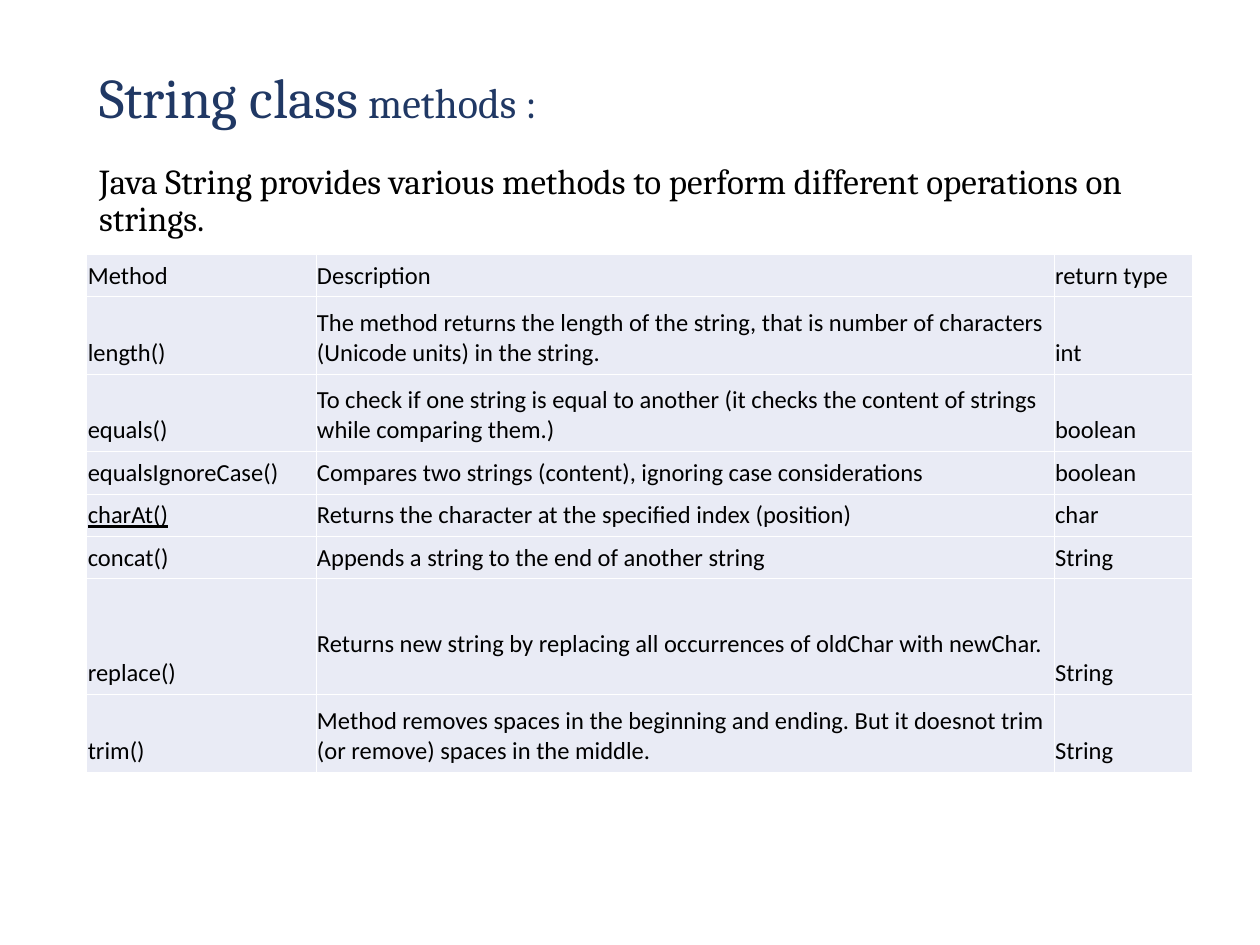
from lxml import etree
from pptx import Presentation
from pptx.dml.color import RGBColor
from pptx.enum.text import MSO_ANCHOR
from pptx.oxml.ns import qn
from pptx.util import Cm, Pt

MIDDLE, TOP, BOTTOM = MSO_ANCHOR.MIDDLE, MSO_ANCHOR.TOP, MSO_ANCHOR.BOTTOM
COLORS = {"title": "203864", "text": "000000", "cell": "E9EBF5", "border": "FFFFFF"}
HEADING_FONT, TABLE_FONT = "Cambria", "Calibri"
LEFT, TEXT_WIDTH = Cm(1.75), Cm(21.92)
COLUMN_WIDTHS = (4.62, 14.88, 2.79)
LINE_HEIGHT = 0.78
INSET_SIDE, INSET_END, SPARE_LINE = 0.02, 0.13, 0.6
UNDERLINED = "charAt()"
SPACED_ROW = "replace()"
METHODS = [
    (1, "Method", "Description", "return type"),
    (2, "length()", "The method returns the length of the string, that is number of "
        "characters (Unicode units) in the string.", "int"),
    (2, "equals()", "To check if one string is equal to another (it checks the content "
        "of strings while comparing them.)", "boolean"),
    (1, "equalsIgnoreCase()", "Compares two strings (content), ignoring case considerations",
        "boolean"),
    (1, "charAt()", "Returns the character at the specified index (position)", "char"),
    (1, "concat()", "Appends a string to the end of another string", "String"),
    (3, "replace()", "Returns new string by replacing all occurrences of oldChar with newChar.",
        "String"),
    (2, "trim()", "Method removes spaces in the beginning and ending. But it doesnot trim "
        "(or remove) spaces in the middle.", "String"),
]


def add_run(paragraph, text, size, font, color):
    """Append one formatted run and return it."""
    run = paragraph.add_run()
    run.text = text
    run.font.size = Pt(size)
    run.font.name = font
    run.font.color.rgb = RGBColor.from_string(COLORS[color])
    return run


def add_heading(slide, top, height, anchor, color, runs, space_before=0):
    """Add a wrapped text box holding one paragraph of (text, size) runs."""
    box = slide.shapes.add_textbox(LEFT, Cm(top), TEXT_WIDTH, Cm(height))
    frame = box.text_frame
    frame.word_wrap = True
    frame.vertical_anchor = anchor
    paragraph = frame.paragraphs[0]
    paragraph.line_spacing = 0.9
    paragraph.space_before = Pt(space_before)
    for text, size in runs:
        add_run(paragraph, text, size, HEADING_FONT, color)


def set_borders(cell):
    """Draw a thin line on all four sides of a cell."""
    properties = cell._tc.get_or_add_tcPr()
    for position, side in enumerate(("a:lnL", "a:lnR", "a:lnT", "a:lnB")):
        line = etree.Element(qn(side), w=str(Pt(0.45)))
        fill = etree.SubElement(line, qn("a:solidFill"))
        etree.SubElement(fill, qn("a:srgbClr"), val=COLORS["border"])
        properties.insert(position, line)


def fill_cell(cell, text):
    """Style one table cell and write its text."""
    cell.fill.solid()
    cell.fill.fore_color.rgb = RGBColor.from_string(COLORS["cell"])
    cell.vertical_anchor = BOTTOM
    cell.margin_left = cell.margin_right = Cm(INSET_SIDE)
    cell.margin_top = cell.margin_bottom = Cm(INSET_END)
    set_borders(cell)
    run = add_run(cell.text_frame.paragraphs[0], text, 14, TABLE_FONT, "text")
    if text == UNDERLINED:
        run.font.underline = True


def add_methods_table(slide):
    """Add the table of methods, with row heights set by line count."""
    total_lines = sum(method[0] for method in METHODS)
    table = slide.shapes.add_table(
        len(METHODS), len(COLUMN_WIDTHS), LEFT, Cm(5.13),
        Cm(sum(COLUMN_WIDTHS)), Cm(total_lines * LINE_HEIGHT)).table
    table.first_row = table.horz_banding = False
    for column, width in zip(table.columns, COLUMN_WIDTHS):
        column.width = Cm(width)
    for index, (lines, *texts) in enumerate(METHODS):
        table.rows[index].height = Cm(lines * LINE_HEIGHT)
        for column, text in enumerate(texts):
            fill_cell(table.cell(index, column), text)
        if texts[0] == SPACED_ROW:
            table.cell(index, 1).margin_bottom = Cm(INSET_END + SPARE_LINE)


def main():
    """Build the slide and save it."""
    deck = Presentation()
    deck.slide_width, deck.slide_height = Cm(25.4), Cm(19.05)
    slide = deck.slides.add_slide(deck.slide_layouts[6])
    add_heading(slide, 0.86, 2.31, MIDDLE, "title",
                [("String class", 32), (" methods :", 24)])
    add_heading(slide, 3.18, 10.77, TOP, "text",
                [("Java String provides various methods to perform different "
                  "operations on strings.", 20)], space_before=10)
    add_methods_table(slide)
    deck.save("out.pptx")


if __name__ == "__main__":
    main()
